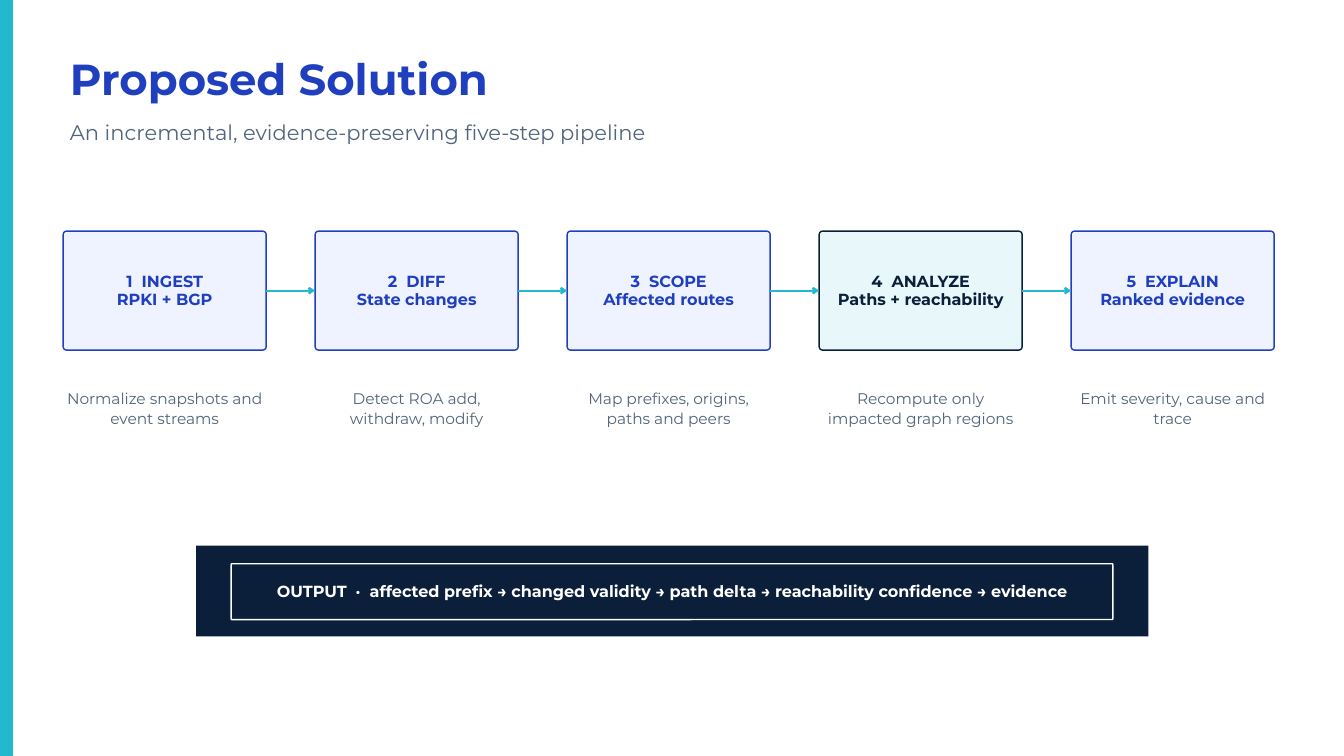
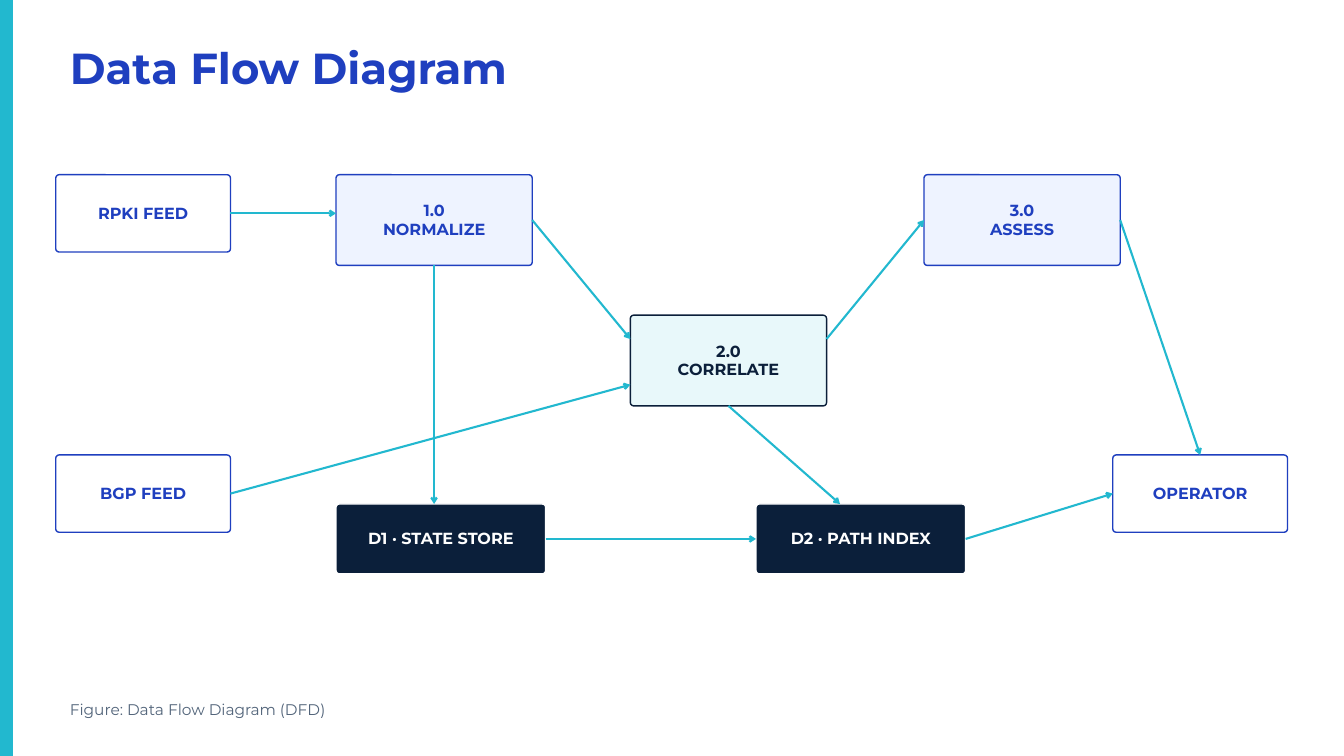
from lxml import etree
from pptx import Presentation
from pptx import util as u
from pptx.dml.color import RGBColor
from pptx.enum import shapes, text
from pptx.oxml import ns

COLORS = {
    "blue": "1F3FBF", "cyan": "22B8CF", "navy": "0B1F3A", "slate": "52647A",
    "ice": "EEF3FF", "mint": "E8F8FA", "white": "FFFFFF",
}
FONT = "Montserrat"
# Box styles: fill, line, text
STEP = ("ice", "blue", "blue")
FOCUS = ("mint", "navy", "navy")
ACTOR = ("white", "blue", "blue")
DARK = ("navy", "white", "white")
# Connection sites
TOP, LEFT, BOTTOM, RIGHT = range(4)


def color(name):
    return RGBColor.from_string(COLORS[name])


class Deck:
    def __init__(self, width, height):
        self.prs = Presentation()
        self.prs.slide_width, self.prs.slide_height = u.Inches(width), u.Inches(height)
        self.slide = None

    def new_slide(self, title, top):
        """Start a slide with the side bar and a title."""
        self.slide = self.prs.slides.add_slide(self.prs.slide_layouts[5])
        self.panel(0, 0, 0.19, 11.25, "cyan")
        heading = self.slide.shapes.title
        heading.left, heading.top = u.Inches(1.04), u.Inches(top)
        heading.width, heading.height = u.Inches(12.5), u.Inches(0.7)
        self.fill_text(heading, [title], 46.5, 50.2, "blue", bold=True)

    def fill_text(self, shape, lines, size, spacing, ink, bold=False, centered=False,
                  inset=0, anchor=text.MSO_ANCHOR.TOP):
        frame = shape.text_frame
        frame.word_wrap = True
        frame.auto_size = text.MSO_AUTO_SIZE.NONE
        frame.vertical_anchor = anchor
        frame.margin_left = frame.margin_right = u.Inches(inset)
        frame.margin_top = frame.margin_bottom = u.Inches(inset)
        for number, line in enumerate(lines):
            paragraph = frame.add_paragraph() if number else frame.paragraphs[0]
            paragraph.alignment = text.PP_ALIGN.CENTER if centered else text.PP_ALIGN.LEFT
            paragraph.line_spacing = u.Pt(spacing)
            paragraph.space_before = u.Pt(0)
            run = paragraph.add_run()
            run.text = line
            run.font.name, run.font.size, run.font.bold = FONT, u.Pt(size), bold
            run.font.color.rgb = color(ink)

    def label(self, x, y, w, h, line, size=16.5, spacing=22.3, centered=False):
        area = self.slide.shapes.add_textbox(*map(u.Inches, (x, y, w, h)))
        self.fill_text(area, [line], size, spacing, "slate", centered=centered)

    def panel(self, x, y, w, h, fill, kind=shapes.MSO_SHAPE.RECTANGLE):
        area = self.slide.shapes.add_shape(kind, *map(u.Inches, (x, y, w, h)))
        area.shadow.inherit = False
        area.fill.solid()
        area.fill.fore_color.rgb = color(fill)
        area.line.fill.background()
        return area

    def box(self, x, y, w, h, lines, style, radius=0.05):
        fill, line, ink = style
        node = self.panel(x, y, w, h, fill, shapes.MSO_SHAPE.ROUNDED_RECTANGLE)
        node.adjustments[0] = radius / min(w, h)
        node.line.color.rgb = color(line)
        node.line.width = u.Pt(1.5)
        self.fill_text(node, lines, 17.2, 19.8, ink, bold=True, centered=True,
                       inset=0.06, anchor=text.MSO_ANCHOR.MIDDLE)
        return node

    @staticmethod
    def port(node, side, shift=0):
        """Point on a side of a box, shifted from its middle."""
        if side in (TOP, BOTTOM):
            return (node.left + node.width // 2 + u.Inches(shift),
                    node.top + (node.height if side == BOTTOM else 0))
        return (node.left + (node.width if side == RIGHT else 0),
                node.top + node.height // 2 + u.Inches(shift))

    def arrow(self, start, end):
        """Join two ports given as (box, side[, shift])."""
        link = self.slide.shapes.add_connector(
            shapes.MSO_CONNECTOR.STRAIGHT, *self.port(*start), *self.port(*end))
        if len(start) == 2:
            link.begin_connect(*start)
        if len(end) == 2:
            link.end_connect(*end)
        link.line.color.rgb = color("cyan")
        link.line.width = u.Pt(2.25)
        properties = link._element.spPr
        outline = properties.find(ns.qn("a:ln"))
        etree.SubElement(outline, ns.qn("a:tailEnd"), type="arrow")
        etree.SubElement(properties, ns.qn("a:effectLst"))


def solution_slide(deck):
    deck.new_slide("Proposed Solution", 0.85)
    deck.label(1.04, 1.73, 11.46, 0.41,
               "An incremental, evidence-preserving five-step pipeline", 22.5, 30.4)

    # Pipeline steps with their explanations
    steps = [
        ("INGEST", "RPKI + BGP", "Normalize snapshots and event streams"),
        ("DIFF", "State changes", "Detect ROA add, withdraw, modify"),
        ("SCOPE", "Affected routes", "Map prefixes, origins, paths and peers"),
        ("ANALYZE", "Paths + reachability", "Recompute only impacted graph regions"),
        ("EXPLAIN", "Ranked evidence", "Emit severity, cause and trace"),
    ]
    previous = None
    for index, (name, topic, detail) in enumerate(steps):
        x = 0.94 + 3.75 * index
        step = deck.box(x, 3.44, 3.02, 1.77, [f"{index + 1}  {name}", topic],
                        FOCUS if name == "ANALYZE" else STEP)
        if previous is not None:
            deck.arrow((previous, RIGHT), (step, LEFT))
        deck.label(x, 5.75, 3.02, 0.6, detail, centered=True)
        previous = step

    # Output band
    deck.panel(2.92, 8.12, 14.17, 1.35, "navy")
    deck.box(3.44, 8.39, 13.12, 0.83,
             ["OUTPUT  ·  affected prefix → changed validity → path delta → "
              "reachability confidence → evidence"], DARK, radius=0.01)


def data_flow_slide(deck):
    deck.new_slide("Data Flow Diagram", 0.69)

    # Feeds and operator
    rpki, bgp, operator = [
        deck.box(x, y, 2.6, 1.15, [name], ACTOR) for x, y, name in
        [(0.83, 2.6, "RPKI FEED"), (0.83, 6.77, "BGP FEED"), (16.56, 6.77, "OPERATOR")]]

    # Processes
    normalize, correlate, assess = [
        deck.box(x, y, 2.92, 1.35, lines, style) for x, y, lines, style in
        [(5, 2.6, ["1.0", "NORMALIZE"], STEP),
         (9.38, 4.69, ["2.0", "CORRELATE"], FOCUS),
         (13.75, 2.6, ["3.0", "ASSESS"], STEP)]]

    # Data stores
    state_store, path_index = [
        deck.box(x, 7.5, 3.12, 1.04, [name], DARK) for x, name in
        [(5, "D1 · STATE STORE"), (11.25, "D2 · PATH INDEX")]]

    # Flows
    for start, end in [
        ((rpki, RIGHT), (normalize, LEFT, -0.1)),
        ((bgp, RIGHT), (correlate, LEFT, 0.36)),
        ((normalize, RIGHT), (correlate, LEFT, -0.32)),
        ((correlate, RIGHT, -0.32), (assess, LEFT)),
        ((assess, RIGHT), (operator, TOP)),
        ((normalize, BOTTOM), (state_store, TOP, -0.1)),
        ((correlate, BOTTOM), (path_index, TOP, -0.31)),
        ((state_store, RIGHT), (path_index, LEFT)),
        ((path_index, RIGHT), (operator, LEFT)),
    ]:
        deck.arrow(start, end)

    deck.label(1.04, 10.39, 8.33, 0.3, "Figure: Data Flow Diagram (DFD)")


def main():
    deck = Deck(20, 11.25)
    solution_slide(deck)
    data_flow_slide(deck)
    deck.prs.save("out.pptx")


if __name__ == "__main__":
    main()
